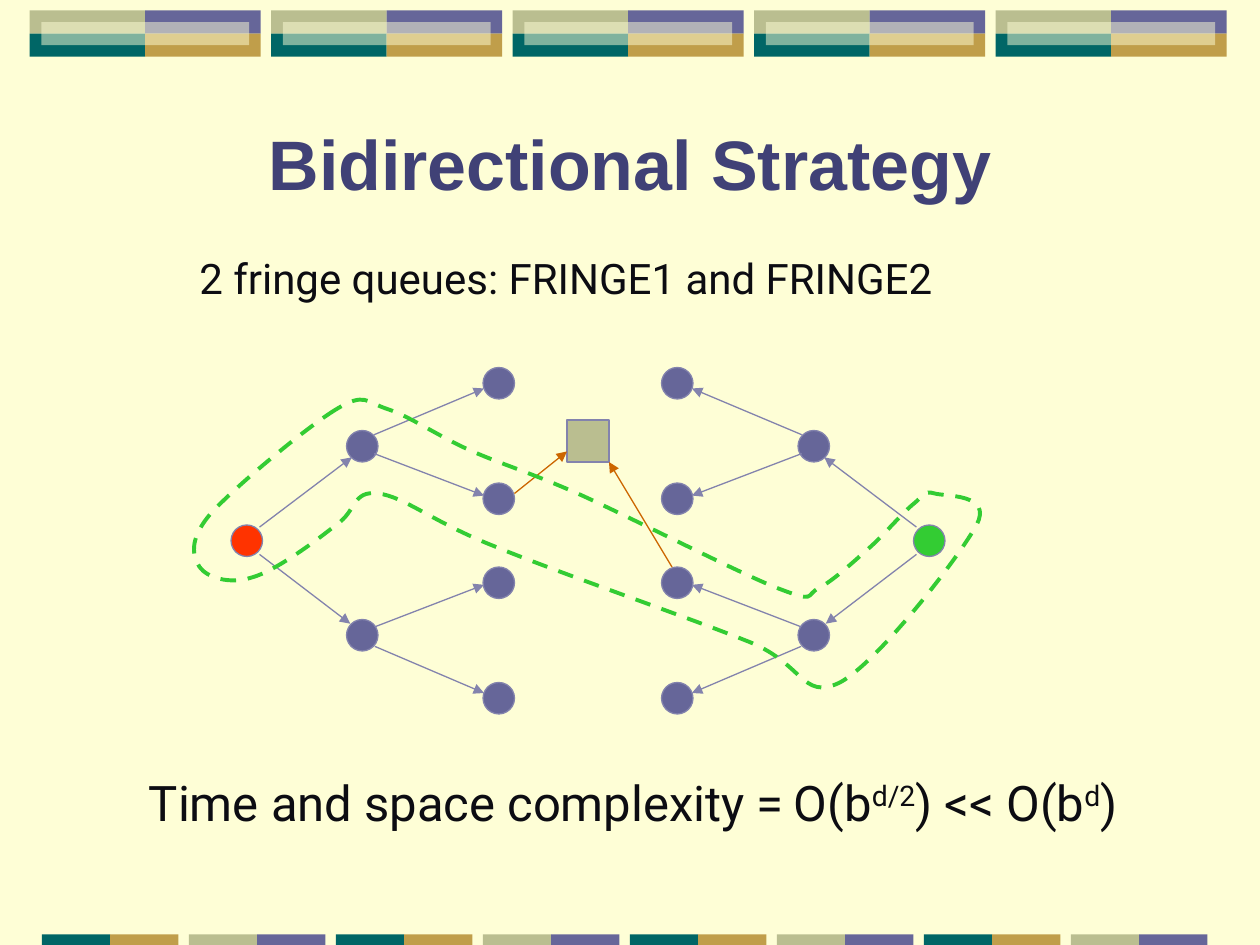
from lxml import etree
from pptx import Presentation
from pptx.dml.color import RGBColor
from pptx.enum.dml import MSO_LINE
from pptx.enum.shapes import MSO_CONNECTOR, MSO_SHAPE
from pptx.enum.text import MSO_ANCHOR, PP_ALIGN
from pptx.oxml.ns import qn
from pptx.util import Inches, Pt

CREAM = RGBColor(0xFE, 0xFE, 0xD6)
PURPLE = RGBColor(0x66, 0x66, 0x99)
LILAC = RGBColor(0x83, 0x83, 0xAD)
GOLD = RGBColor(0xC0, 0x9E, 0x4A)
TEAL = RGBColor(0x00, 0x66, 0x66)
SAGE = RGBColor(0xBA, 0xBE, 0x90)
RED = RGBColor(0xFF, 0x33, 0x00)
GREEN = RGBColor(0x33, 0xCC, 0x33)
ORANGE = RGBColor(0xCC, 0x66, 0x00)
TITLE_INK = RGBColor(0x40, 0x41, 0x76)
INK = RGBColor(0x0C, 0x0C, 0x12)

RECT, OVAL = MSO_SHAPE.RECTANGLE, MSO_SHAPE.OVAL
STRAIGHT, DASH = MSO_CONNECTOR.STRAIGHT, MSO_LINE.DASH
MIDDLE, CENTER = MSO_ANCHOR.MIDDLE, PP_ALIGN.CENTER

# The slide is a grid of 120 columns by 90 rows; all lengths are in cells
CELL = Inches(10) // 120
NODE = 3
MIRROR = 112  # left column + right column of two mirrored points

# Left tree: top-left cells of the nodes, then start and end of each edge
ROOT = (22, 50)
TREE_NODES = [(33, 41), (33, 59), (46, 35), (46, 46), (46, 54), (46, 65)]
TREE_EDGES = [
    ((24.72, 50.2), (33.5, 43.56)), ((24.72, 52.8), (33.36, 59.4)),
    ((35.64, 41.4), (46.1, 37)), ((35.64, 43.2), (46.1, 47.2)),
    ((35.7, 59.7), (46.1, 55.7)), ((35.7, 61.56), (46.1, 66)),
]

# Outline round the searched path: two control points and an end per curve
OUTLINE_START = (32, 39)
OUTLINE = [
    ((29.2, 40.7), (22.2, 46.5), (20, 49)), ((17.9, 51.5), (18.4, 53), (19, 54)),
    ((19.7, 55), (21.8, 55.7), (24, 55)), ((26.2, 54.4), (30, 51.6), (32, 50)),
    ((34, 48.7), (33.5, 46.7), (36, 47)), ((38.5, 47.3), (41.2, 49.7), (47, 52)),
    ((52.8, 54.4), (65.5, 58.8), (71, 61)), ((76.6, 63.1), (76.3, 66.8), (80, 65)),
    ((83.6, 63.1), (91.4, 53), (93, 50)), ((94.6, 47), (90, 47.3), (89, 47)),
    ((88, 46.7), (88, 47.2), (87, 48)), ((86, 48.8), (84.5, 50.6), (83, 52)),
    ((81.5, 53.3), (79.4, 55.3), (78, 56)), ((76.6, 56.7), (77.9, 57.5), (74, 56)),
    ((70.2, 54.5), (59.9, 49.2), (55, 47)), ((50.2, 44.9), (48, 44.3), (45, 43)),
    ((42, 41.7), (39.1, 39.7), (37, 39)), ((34.8, 38.3), (34.8, 37.3), (32, 39)),
]


def cells(*values):
    return [round(value * CELL) for value in values]


def add_run(paragraph, text, size=24, font="Roboto", color=INK, bold=False, raised=False):
    run = paragraph.add_run()
    run.text = text
    run.font.size, run.font.name, run.font.bold = Pt(size), font, bold
    run.font.color.rgb = color
    if raised:
        run._r.get_or_add_rPr().set("baseline", "30000")


class Canvas:
    def __init__(self, slide):
        self.shapes = slide.shapes
        slide.background.fill.solid()
        slide.background.fill.fore_color.rgb = CREAM

    def shape(self, kind, left, top, width, height, fill, line=None, alpha=None):
        shape = self.shapes.add_shape(kind, *cells(left, top, width, height))
        shape.shadow.inherit = False
        shape.fill.solid()
        shape.fill.fore_color.rgb = fill
        if alpha:
            color = shape.fill._xPr.find(".//" + qn("a:srgbClr"))
            etree.SubElement(color, qn("a:alpha"), val=str(alpha * 1000))
        if line:
            shape.line.color.rgb, shape.line.width = line, Pt(0.75)
        else:
            shape.line.fill.background()

    def node(self, left, top, fill=PURPLE):
        self.shape(OVAL, left, top, NODE, NODE, fill, LILAC)

    def arrow(self, start, end, color=LILAC):
        arrow = self.shapes.add_connector(STRAIGHT, *cells(*start, *end))
        arrow.line.color.rgb, arrow.line.width = color, Pt(0.75)
        etree.SubElement(arrow.line._get_or_add_ln(), qn("a:tailEnd"), type="triangle")
        etree.SubElement(arrow._element.spPr, qn("a:effectLst"))

    def outline(self, start, curves, color):
        builder = self.shapes.build_freeform(*cells(*start))
        builder.add_line_segments(
            [cells(*point) for curve in curves for point in curve], close=True)
        outline = builder.convert_to_shape()
        # Every three line segments become one cubic curve
        segments = list(outline._element.iter(qn("a:lnTo")))
        for first in range(0, len(segments), 3):
            curve = etree.Element(qn("a:cubicBezTo"))
            segments[first].addprevious(curve)
            for segment in segments[first:first + 3]:
                curve.append(segment[0])
                segment.getparent().remove(segment)
        outline.shadow.inherit = False
        outline.fill.background()
        outline.line.color.rgb, outline.line.width = color, Pt(2.25)
        outline.line.dash_style = DASH

    def text(self, left, top, width, height, runs, wrap=False, anchor=None, align=None):
        frame = self.shapes.add_textbox(*cells(left, top, width, height)).text_frame
        frame.word_wrap = wrap
        frame.vertical_anchor = anchor
        paragraph = frame.paragraphs[0]
        paragraph.alignment = align
        for text, style in runs:
            add_run(paragraph, text, **style)


def draw_borders(canvas):
    # Top: five blocks of four colours under a pale veil
    width, height = 11, 2.2
    for block in range(5):
        left, top = 2.83 + 23 * block, 1
        for index, color in enumerate((SAGE, PURPLE, TEAL, GOLD)):
            row, column = divmod(index, 2)
            canvas.shape(RECT, left + column * width, top + row * height, width, height, color)
        canvas.shape(RECT, left + 1.1, top + 1.1, 19.8, height, CREAM, alpha=50)
    # Bottom: eight pairs of alternating colours
    for pair in range(8):
        for side, color in enumerate((SAGE, PURPLE) if pair % 2 else (TEAL, GOLD)):
            canvas.shape(RECT, 4 + 14 * pair + 6.5 * side, 89, 6.5, 1, color)


def draw_trees(canvas):
    for left, top in TREE_NODES:
        canvas.node(left, top)
        canvas.node(MIRROR - left - NODE, top)
    for start, end in TREE_EDGES:
        canvas.arrow(start, end)
        canvas.arrow(*((MIRROR - x, y) for x, y in (start, end)))
    canvas.node(*ROOT, RED)
    canvas.node(MIRROR - ROOT[0] - NODE, ROOT[1], GREEN)


def main():
    presentation = Presentation()
    presentation.slide_width, presentation.slide_height = Inches(10), Inches(7.5)
    canvas = Canvas(presentation.slides.add_slide(presentation.slide_layouts[6]))

    draw_borders(canvas)
    title = dict(size=40, font="Arial", color=TITLE_INK, bold=True)
    canvas.text(9, 8, 102, 15, [("Bidirectional Strategy", title)],
                wrap=True, anchor=MIDDLE, align=CENTER)
    draw_trees(canvas)
    canvas.text(17.8, 23.5, 73.3, 6, [("2 fringe queues: FRINGE1 and FRINGE2", {})])

    # Meeting point of the two searches
    canvas.shape(RECT, 54, 40, 4, 4, SAGE, LILAC)
    canvas.arrow((49, 47), (54, 43), ORANGE)
    canvas.arrow((64, 54), (58, 44), ORANGE)

    # Complexity
    large, power = dict(size=28), dict(size=28, raised=True)
    canvas.text(13, 73, 100.9, 6.87, [
        ("Time and space complexity =", large), (" ", {}), ("O(b", large),
        ("d/2", power), (") << O(b", large), ("d", power), (")", large)])
    canvas.outline(OUTLINE_START, OUTLINE, GREEN)
    presentation.save("out.pptx")


if __name__ == "__main__":
    main()
